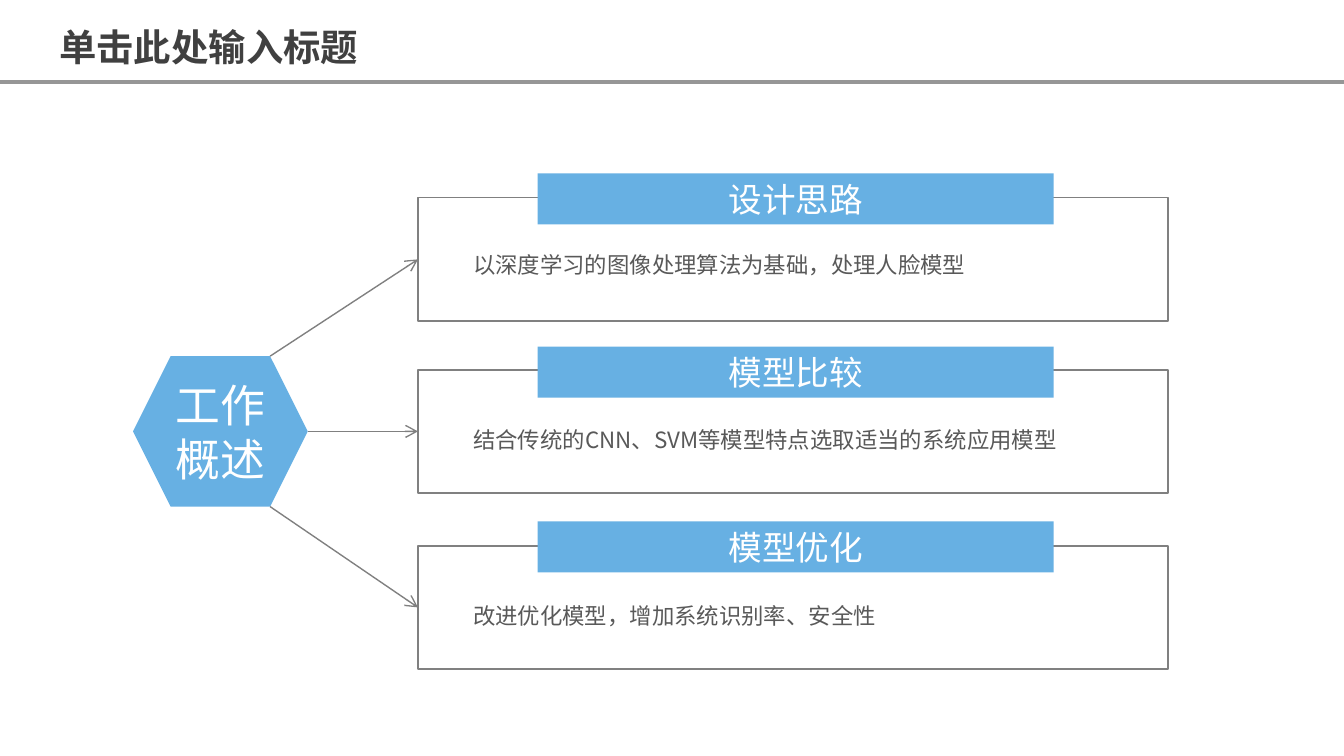
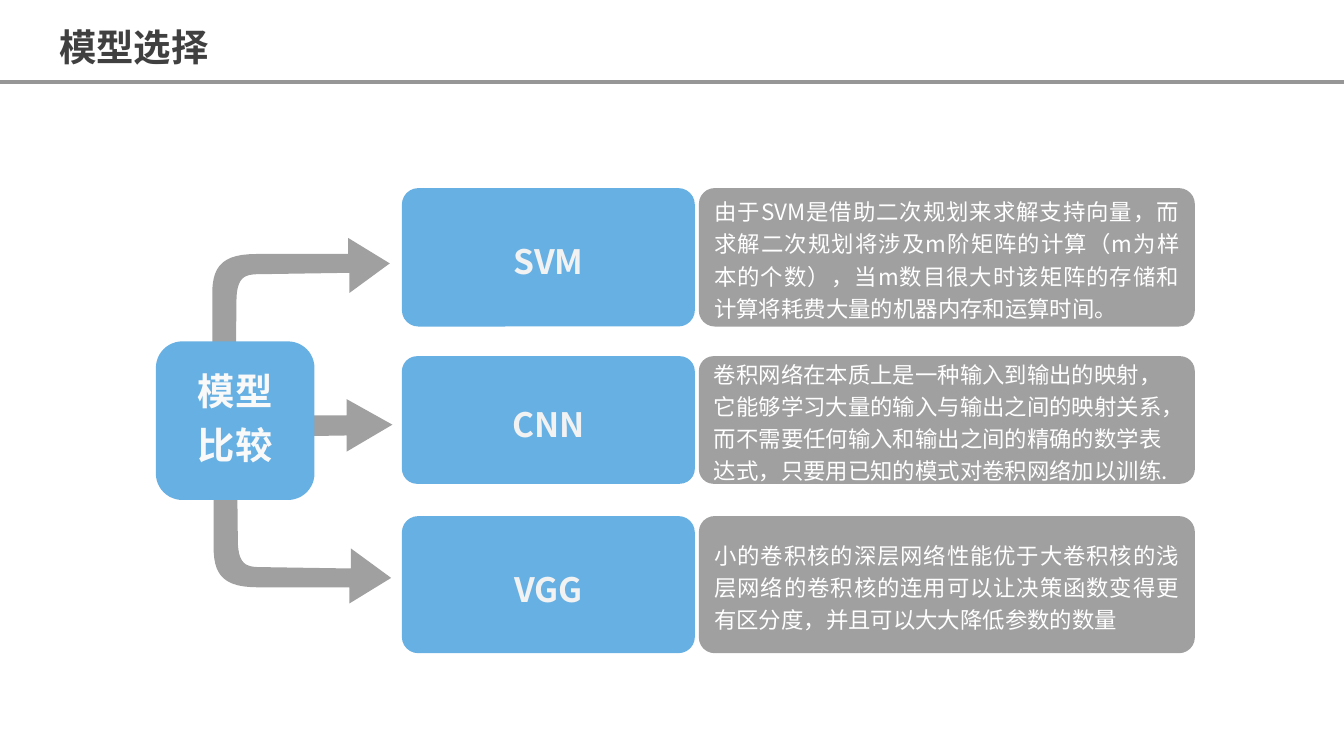
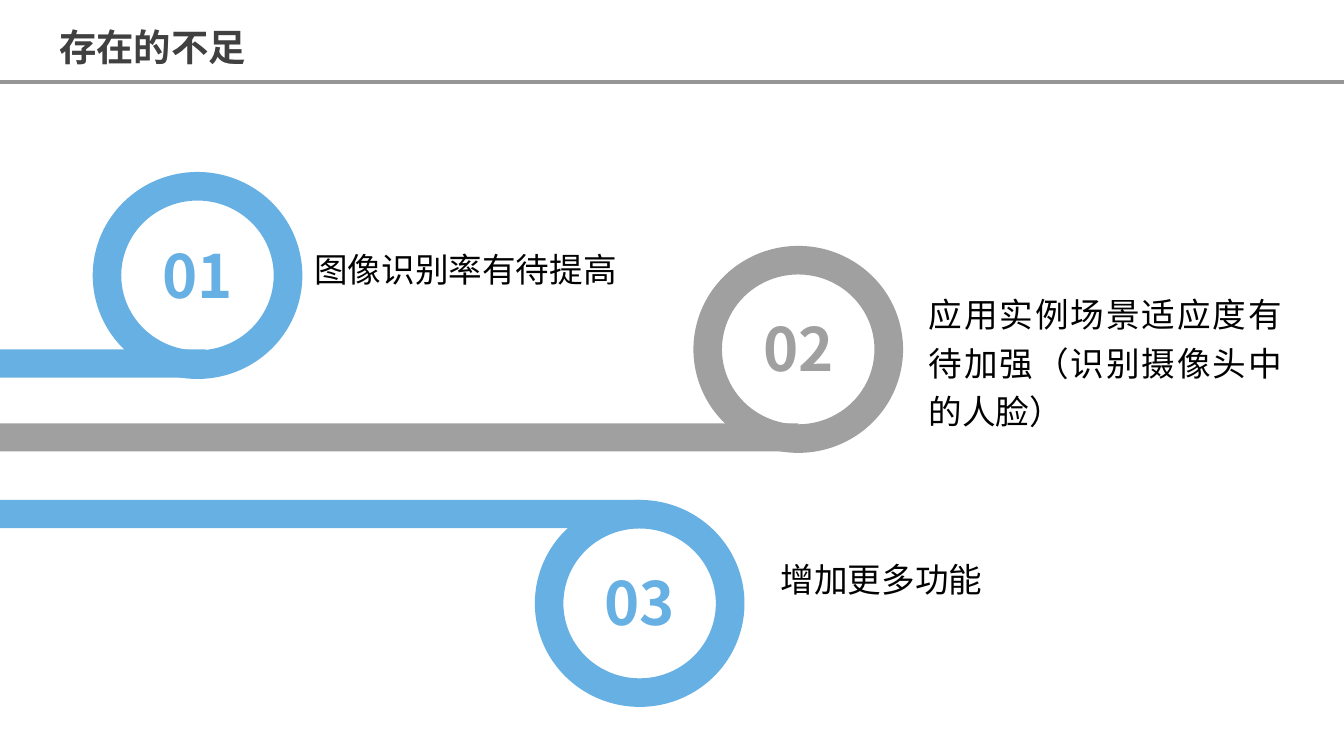
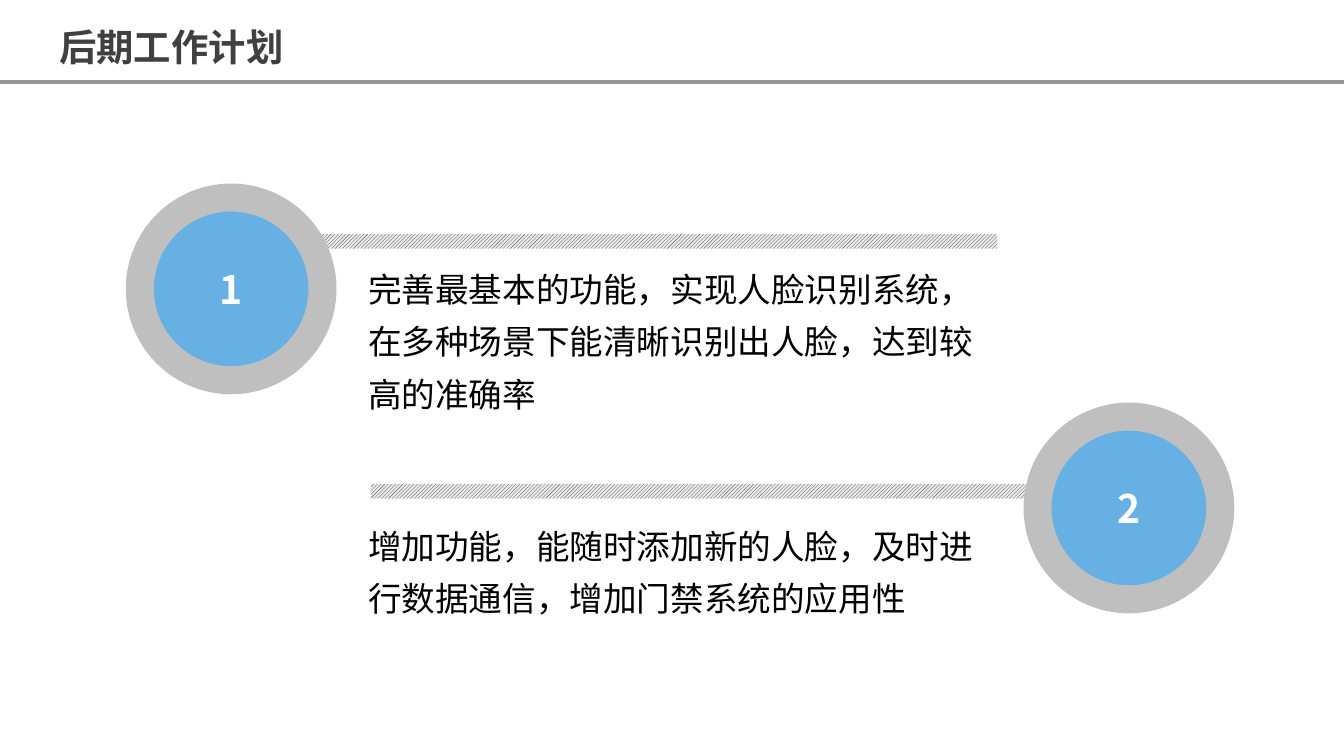
"""Build a four-slide report on a face recognition project."""
from pptx import Presentation
from pptx import util as u
from pptx.dml.color import RGBColor
from pptx.enum import dml, shapes, text
from pptx.oxml import ns
from lxml import etree

FONT = "Noto Sans CJK SC"
BLUE, GRAY, WHITE, BLACK = "67B0E3", "A0A0A0", "FFFFFF", "000000"
OUTLINE, RING = "808080", "BFBFBF"
TITLE_COLOR, BODY_COLOR, RULE_COLOR = "404040", "595959", "969696"
SHAPE = shapes.MSO_SHAPE
LEFT, CENTER, JUSTIFY = (text.PP_ALIGN.LEFT, text.PP_ALIGN.CENTER,
                         text.PP_ALIGN.JUSTIFY)
DEFAULT_INSETS = (0.1, 0.05, 0.1, 0.05)
TIGHT_INSETS = (0.08, 0.04, 0.08, 0.04)


def rgb(value):
    """Turn a hex string into a colour."""
    return RGBColor.from_string(value)


def write(shape, content, size=18, color=WHITE, bold=False, align=CENTER,
          spacing=None, insets=DEFAULT_INSETS, middle=True, grow=False):
    """Fill a shape with formatted text, one paragraph per line."""
    frame = shape.text_frame
    frame.word_wrap = True
    frame.vertical_anchor = (text.MSO_ANCHOR.MIDDLE if middle
                             else text.MSO_ANCHOR.TOP)
    frame.auto_size = (text.MSO_AUTO_SIZE.SHAPE_TO_FIT_TEXT if grow
                       else text.MSO_AUTO_SIZE.NONE)
    (frame.margin_left, frame.margin_top,
     frame.margin_right, frame.margin_bottom) = map(u.Inches, insets)
    frame.text = content
    for paragraph in frame.paragraphs:
        paragraph.alignment = align
        paragraph.line_spacing = spacing
        for run in paragraph.runs:
            font = run.font
            font.size, font.bold, font.name = u.Pt(size), bold, FONT
            font.color.rgb = rgb(color)
            east_asian = etree.SubElement(run._r.get_or_add_rPr(), ns.qn("a:ea"))
            east_asian.set("typeface", FONT)


def paint(shape, fill=None, line=None, width=1):
    """Give a shape its fill and outline, without a shadow."""
    shape.shadow.inherit = False
    if fill:
        shape.fill.solid()
        shape.fill.fore_color.rgb = rgb(fill)
    else:
        shape.fill.background()
    if line:
        shape.line.color.rgb = rgb(line)
        shape.line.width = u.Pt(width)
    else:
        shape.line.fill.background()


def add_block(slide, kind, box, fill=None, line=None, width=1, adjust=None):
    """Add a preset shape at left, top, width, height."""
    block = slide.shapes.add_shape(kind, *map(u.Inches, box))
    paint(block, fill, line, width)
    if adjust is not None:
        block.adjustments[0] = adjust
    return block


def add_note(slide, box, content, **style):
    """Add a text box that grows with its text."""
    note = slide.shapes.add_textbox(*map(u.Inches, box))
    write(note, content, middle=False, grow=True, **style)


def add_line(slide, start, end, color, width, arrow=False):
    """Add a straight line, with an open arrowhead if wanted."""
    line = slide.shapes.add_connector(
        shapes.MSO_CONNECTOR.STRAIGHT, *map(u.Inches, start + end))
    line.line.color.rgb = rgb(color)
    line.line.width = u.Pt(width)
    if arrow:
        head = etree.SubElement(line.line._get_or_add_ln(), ns.qn("a:tailEnd"))
        head.set("type", "arrow")
    etree.SubElement(line.element.spPr, ns.qn("a:effectLst"))
    return line


def add_outline(slide, points, fill):
    """Add a closed freeform through points given in inches."""
    start, *others = [(u.Inches(x), u.Inches(y)) for x, y in points]
    builder = slide.shapes.build_freeform(*start)
    builder.add_line_segments(others, close=True)
    paint(builder.convert_to_shape(), fill)


def curve(p0, p1, p2, p3, steps=12):
    """Return points along a cubic curve, without its first point."""
    ts = [i / steps for i in range(1, steps + 1)]
    return [tuple((1 - t) ** 3 * a + 3 * (1 - t) ** 2 * t * b
                  + 3 * (1 - t) * t ** 2 * c + t ** 3 * d
                  for a, b, c, d in zip(p0, p1, p2, p3)) for t in ts]


def add_title_slide(deck, title):
    """Add a title-only slide with its styled title."""
    slide = deck.slides.add_slide(deck.slide_layouts[5])
    heading = slide.shapes.title
    heading.left, heading.top, heading.width, heading.height = map(
        u.Inches, (0.34, 0.06, 2.61, 0.5))
    write(heading, title, size=20, color=TITLE_COLOR, bold=True, align=LEFT,
          spacing=1.2, middle=False, grow=True)
    return slide


def add_overview(deck):
    """Link the work overview to its three topics."""
    slide = add_title_slide(deck, "单击此处输入标题")
    hub = add_block(slide, SHAPE.HEXAGON, (0.99, 2.65, 1.3, 1.12), BLUE)
    write(hub, "工作概述", size=24, insets=TIGHT_INSETS)
    topics = [
        (1.47, 1.29, 1.77, (2.01, 2.65), "设计思路",
         "以深度学习的图像处理算法为基础，处理人脸模型"),
        (2.75, 2.58, 3.07, (2.29, 3.21), "模型比较",
         "结合传统的CNN、SVM等模型特点选取适当的系统应用模型"),
        (4.06, 3.88, 4.38, (2.01, 3.77), "模型优化",
         "改进优化模型，增加系统识别率、安全性"),
    ]
    for top, banner_top, detail_top, corner, name, detail in topics:
        frame = add_block(slide, SHAPE.RECTANGLE, (3.11, top, 5.58, 0.92),
                          line=OUTLINE)
        banner = add_block(slide, SHAPE.RECTANGLE,
                           (4, banner_top, 3.84, 0.38), BLUE)
        write(banner, name, insets=TIGHT_INSETS)
        add_note(slide, (3.44, detail_top, 4.96, 0.34), detail, size=12,
                 color=BODY_COLOR, align=LEFT, spacing=1.3,
                 insets=TIGHT_INSETS)
        arrow = add_line(slide, corner, (3.11, top + 0.46), OUTLINE, 0.75,
                         arrow=True)
        arrow.end_connect(frame, 1)


def add_branch_arrows(slide):
    """Draw the straight arrow and the two mirrored bent ones."""
    upper = [(1.75, 3.12), (1.76, 2.21)]
    upper += curve(upper[-1], (1.77, 2.04), (1.84, 2.04), (1.96, 2.04))
    upper += [(2.6, 2.03), (2.6, 2.18), (2.9, 1.96), (2.59, 1.77),
              (2.59, 1.89), (1.91, 1.89)]
    upper += curve(upper[-1], (1.67, 1.89), (1.59, 1.97), (1.58, 2.15))
    upper += [(1.58, 3.14)]
    upper += curve(upper[-1], (1.61, 3.3), (1.71, 3.29), upper[0])
    lower = [(x + 0.01, 6.26 - y) for x, y in upper]
    straight = [(1.35, 3.26), (2.58, 3.24), (2.58, 3.36), (2.92, 3.16),
                (2.58, 2.97), (2.58, 3.09), (1.35, 3.09)]
    for points in (lower, straight, upper):
        add_outline(slide, points, GRAY)


def add_model_choice(deck):
    """Compare three models beside their descriptions."""
    slide = add_title_slide(deck, "模型选择")
    add_branch_arrows(slide)
    models = [
        (1.4, 1.03, "SVM", JUSTIFY,
         "由于SVM是借助二次规划来求解支持向量，而求解二次规划将涉及m阶矩阵的计算"
         "（m为样本的个数），当m数目很大时该矩阵的存储和计算将耗费大量的机器内存和运算时间。"),
        (2.65, 0.95, "CNN", LEFT,
         "卷积网络在本质上是一种输入到输出的映射，它能够学习大量的输入与输出之间的映射关系，"
         "而不需要任何输入和输出之间的精确的数学表达式，只要用已知的模式对卷积网络加以训练."),
        (3.84, 1.02, "VGG", JUSTIFY,
         "小的卷积核的深层网络性能优于大卷积核的浅层网络的卷积核的连用可以让决策函数变得"
         "更有区分度，并且可以大大降低参数的数量"),
    ]
    for top, height, name, align, detail in models:
        card = add_block(slide, SHAPE.ROUNDED_RECTANGLE,
                         (5.2, top, 3.69, height), GRAY, adjust=0.115)
        write(card, detail, size=12, align=align, spacing=1.2,
              insets=TIGHT_INSETS)
        label = add_block(slide, SHAPE.ROUNDED_RECTANGLE,
                          (2.99, top, 2.18, height), BLUE, adjust=0.119)
        write(label, name, color="F2F2F2", bold=True, spacing=1.2,
              insets=TIGHT_INSETS)
    hub = add_block(slide, SHAPE.ROUNDED_RECTANGLE, (1.16, 2.54, 1.18, 1.18),
                    BLUE)
    write(hub, "模型\n比较", size=20, color="F9F9F9", bold=True, spacing=1.2,
          insets=(0.1, 0.04, 0.1, 0.15))


def add_shortcomings(deck):
    """Show three shortcomings as numbered loops."""
    slide = add_title_slide(deck, "存在的不足")
    loops = [
        (0.69, 1.28, (0, 2.6, 1.53, 0.21), BLUE, (2.24, 1.74, 2.75, 0.46),
         "图像识别率有待提高"),
        (5.16, 1.83, (0, 3.15, 5.94, 0.21), GRAY, (6.81, 2.08, 2.83, 1.19),
         "应用实例场景适应度有待加强（识别摄像头中的人脸）"),
        (3.98, 3.72, (0, 3.72, 4.76, 0.21), BLUE, (5.71, 4.05, 3.31, 0.46),
         "增加更多功能"),
    ]
    for number, (left, top, band, color, box, detail) in enumerate(loops, 1):
        disc = add_block(slide, SHAPE.OVAL,
                         (left + 0.21, top + 0.2, 1.14, 1.12))
        write(disc, f"{number:02}", size=32, color=color, bold=True)
        add_block(slide, SHAPE.RECTANGLE, band, color)
        add_block(slide, SHAPE.DONUT, (left, top, 1.56, 1.54), color,
                  adjust=0.138)
        add_note(slide, box, detail, color=BLACK, align=JUSTIFY, spacing=1.2)


def add_plan(deck):
    """List the two next steps beside numbered discs."""
    slide = add_title_slide(deck, "后期工作计划")
    steps = [
        ((2.28, 1.74), (1.04, 1.47), (1.87, 1.25),
         "完善最基本的功能，实现人脸识别系统，在多种场景下能清晰识别出人脸，达到较高的准确率"),
        ((2.76, 3.6), (7.72, 3.1), (3.78, 0.86),
         "增加功能，能随时添加新的人脸，及时进行数据通信，增加门禁系统的应用性"),
    ]
    for number, (bar_at, disc_at, (top, height), detail) in enumerate(steps, 1):
        bar = add_block(slide, SHAPE.RECTANGLE, bar_at + (5.14, 0.11))
        bar.fill.patterned()
        bar.fill.pattern = dml.MSO_PATTERN.LIGHT_UPWARD_DIAGONAL
        bar.fill.fore_color.rgb = rgb("414455")
        bar.fill.back_color.rgb = rgb("E8E8E6")
        disc = add_block(slide, SHAPE.OVAL, disc_at + (1.36, 1.36), BLUE,
                         line=RING, width=15)
        write(disc, str(number), size=21, bold=True, insets=TIGHT_INSETS)
        add_note(slide, (2.66, top, 4.84, height), detail, color=BLACK,
                 align=LEFT, spacing=1.3, insets=TIGHT_INSETS)


def add_shared_rule(deck):
    """Put the line under the title on the shared layout."""
    rule = add_line(deck.slides[0], (0, 0.61), (10, 0.61), RULE_COLOR, 1.75)
    deck.slide_layouts[5].shapes.element.append(rule.element)


def main():
    """Build and save the deck."""
    deck = Presentation()
    deck.slide_width = u.Inches(10)
    deck.slide_height = deck.slide_width * 9 // 16
    add_overview(deck)
    add_model_choice(deck)
    add_shortcomings(deck)
    add_plan(deck)
    add_shared_rule(deck)
    deck.save("out.pptx")


if __name__ == "__main__":
    main()
